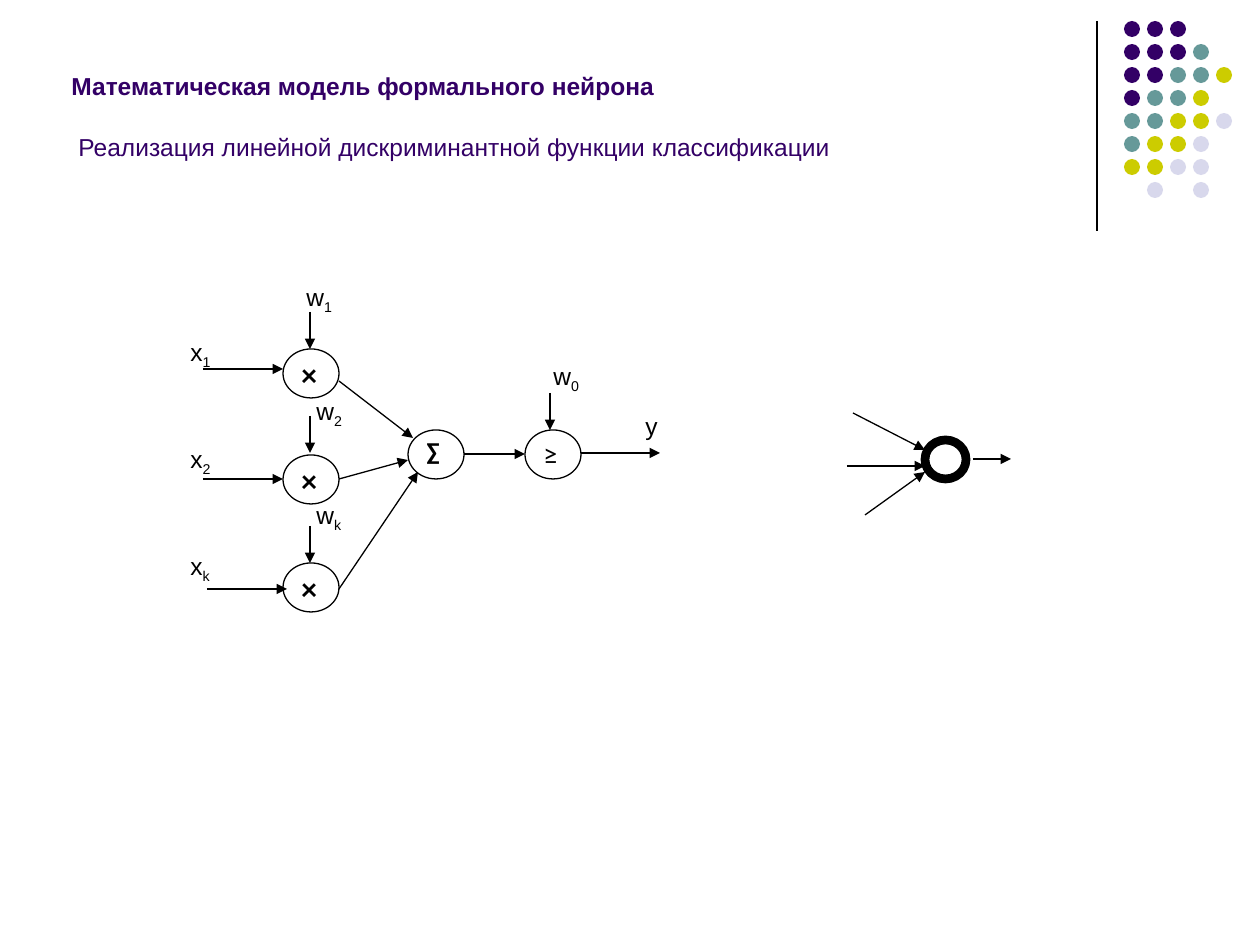
from lxml.etree import SubElement
from pptx import Presentation
from pptx.dml.color import RGBColor
from pptx.enum.shapes import MSO_CONNECTOR, MSO_SHAPE
from pptx.enum.text import MSO_ANCHOR
from pptx.oxml.ns import qn
from pptx.util import Emu, Pt

HEADING = "Математическая модель формального нейрона"
SUBHEADING = "Реализация линейной дискриминантной функции классификации"
INK, PURPLE, WHITE = "000000", "330066", "FFFFFF"

DOT_COLOURS = {"P": PURPLE, "T": "669999", "Y": "CCCC00", "L": "D8D8EC"}
DOT_ROWS = ["PPP", "PPPT", "PPTTY", "PTTY", "TTYYL", "TYYL", "YYLL", " L L"]
DOT_LEFT, DOT_TOP, DOT_PITCH, DOT_SIZE = 1124, 21, 23, 16

GATE_SIZE = (56, 49)
# symbol, left, top, font size, bold
GATES = [
    ("×", 283, 349, 18, True),
    ("×", 283, 455, 18, True),
    ("×", 283, 563, 18, True),
    ("∑", 408, 430, 14, True),
    ("≥", 525, 430, 16, False),
]

LABEL_SIZE = (64, 49)
# letter, subscript, left, top
LABELS = [
    ("x", "1", 178, 331),
    ("x", "2", 178, 438),
    ("x", "k", 178, 545),
    ("w", "1", 294, 276),
    ("w", "2", 304, 390),
    ("w", "k", 304, 494),
    ("w", "0", 541, 355),
    ("y", "", 633, 405),
]

INPUT_ARROWS = [
    (203, 369, 283, 369),
    (203, 479, 283, 479),
    (207, 589, 287, 589),
]
SUM_ARROWS = [
    (339, 381, 413, 438),
    (339, 479, 408, 460),
    (339, 589, 418, 472),
]
OUTPUT_ARROWS = [(464, 454, 525, 454), (581, 453, 660, 453)]
WEIGHT_ARROW_LENGTH = 37
WEIGHT_ARROW_STARTS = [(310, 312), (310, 416), (310, 526), (550, 393)]
NEURON = (925, 440, 41, 39)
NEURON_ARROWS = [
    (853, 413, 925, 450),
    (847, 466, 925, 466),
    (865, 515, 925, 472),
    (973, 459, 1011, 459),
]


def px(length):
    return Emu(round(length * 914400 / 126))


def colour(hex_text):
    return RGBColor.from_string(hex_text)


def add_ellipse(slide, box, fill, line_width=None):
    ellipse = slide.shapes.add_shape(MSO_SHAPE.OVAL, *map(px, box))
    ellipse.shadow.inherit = False
    ellipse.fill.solid()
    ellipse.fill.fore_color.rgb = colour(fill)
    if line_width is None:
        ellipse.line.fill.background()
    else:
        ellipse.line.color.rgb = colour(INK)
        ellipse.line.width = Pt(line_width)


def add_line(slide, ends, arrow=True):
    line = slide.shapes.add_connector(MSO_CONNECTOR.STRAIGHT, *map(px, ends))
    line.line.color.rgb = colour(INK)
    line.line.width = Pt(0.75)
    if arrow:
        SubElement(line.line._get_or_add_ln(), qn("a:tailEnd"), type="triangle")
    SubElement(line._element.spPr, qn("a:effectLst"))


def add_frame(slide, box, anchor=MSO_ANCHOR.TOP):
    frame = slide.shapes.add_textbox(*map(px, box)).text_frame
    frame.word_wrap = True
    frame.vertical_anchor = anchor
    return frame


def write(paragraph, text, size=14, font="Arial", ink=INK, bold=False, subscript=False):
    run = paragraph.add_run()
    run.text = text
    run.font.size = Pt(size)
    run.font.name = font
    run.font.bold = bold
    run.font.color.rgb = colour(ink)
    if subscript:
        run._r.get_or_add_rPr().set("baseline", "-25000")


def draw_corner(slide):
    add_line(slide, (1097, 21, 1097, 231), arrow=False)
    for row, colours in enumerate(DOT_ROWS):
        for column, key in enumerate(colours):
            if key in DOT_COLOURS:
                left = DOT_LEFT + column * DOT_PITCH
                top = DOT_TOP + row * DOT_PITCH
                add_ellipse(slide, (left, top, DOT_SIZE, DOT_SIZE), DOT_COLOURS[key])


def draw_title(slide):
    frame = add_frame(slide, (59, 39, 1040, 129), MSO_ANCHOR.BOTTOM)
    write(frame.paragraphs[0], HEADING, ink=PURPLE, bold=True)
    subheading = frame.add_paragraph()
    subheading.space_before = Pt(18)
    subheading._p.get_or_add_pPr().set("marL", str(px(7)))
    write(subheading, SUBHEADING, ink=PURPLE)


def draw_model(slide):
    for symbol, left, top, size, bold in GATES:
        add_ellipse(slide, (left, top, *GATE_SIZE), WHITE, 0.75)
        frame = add_frame(slide, (left + 6, top, 37, 40))
        write(frame.paragraphs[0], symbol, size=size, font="Calibri", bold=bold)
    weight_arrows = [(x, y, x, y + WEIGHT_ARROW_LENGTH) for x, y in WEIGHT_ARROW_STARTS]
    for ends in INPUT_ARROWS + SUM_ARROWS + OUTPUT_ARROWS + weight_arrows:
        add_line(slide, ends)
    for letter, index, left, top in LABELS:
        paragraph = add_frame(slide, (left, top, *LABEL_SIZE)).paragraphs[0]
        write(paragraph, letter)
        if index:
            write(paragraph, index, subscript=True)


def draw_neuron(slide):
    add_ellipse(slide, NEURON, WHITE, 5)
    for ends in NEURON_ARROWS:
        add_line(slide, ends)


def main():
    deck = Presentation()
    deck.slide_width, deck.slide_height = px(1260), px(945)
    slide = deck.slides.add_slide(deck.slide_layouts[6])
    draw_corner(slide)
    draw_title(slide)
    draw_neuron(slide)
    draw_model(slide)
    deck.save("out.pptx")


if __name__ == "__main__":
    main()
